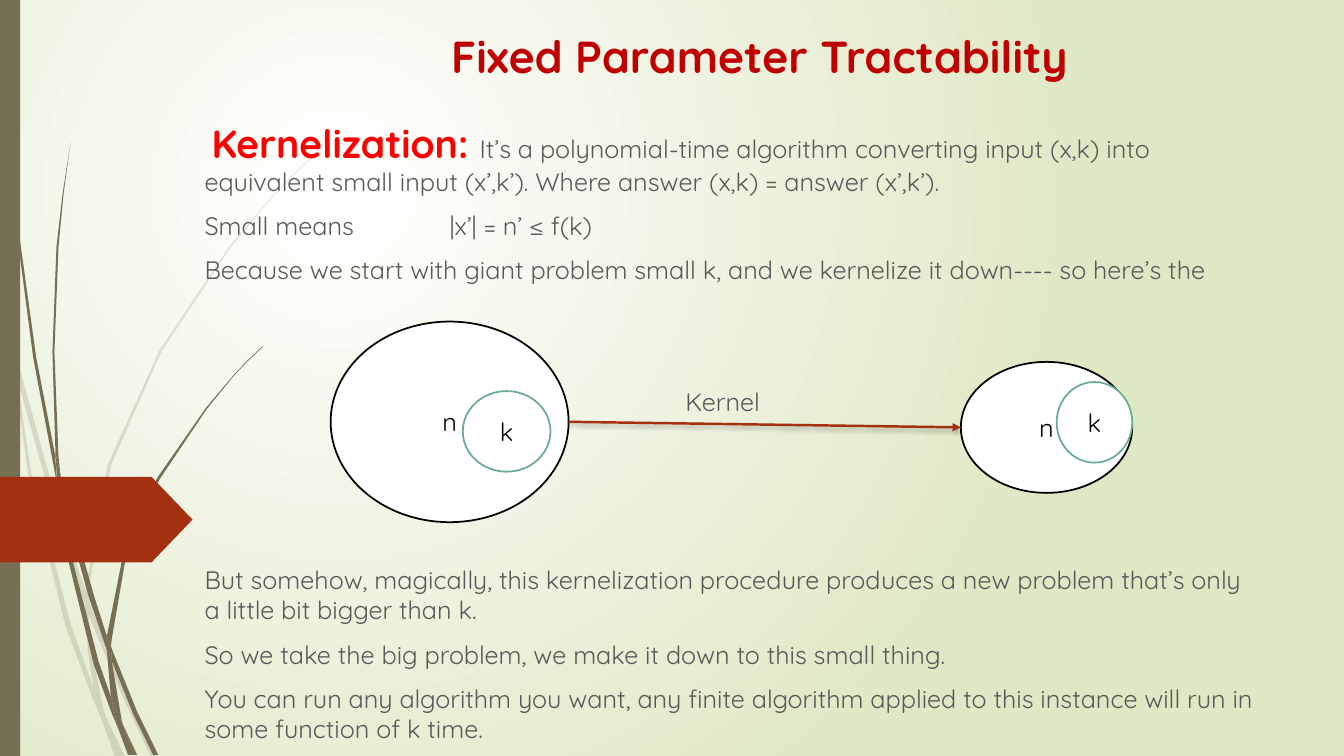
from pptx import Presentation
from pptx.dml.color import RGBColor
from pptx.enum.shapes import MSO_CONNECTOR, MSO_SHAPE
from pptx.enum.text import MSO_ANCHOR, PP_ALIGN
from pptx.oxml import parse_xml
from pptx.oxml.ns import nsdecls, qn
from pptx.util import Inches, Pt

WIDE, HIGH = 13.33, 7.5
FONT = "Quicksand"
GREY, OLIVE, RUST = "595959", "766F54", "A53010"

# Each blade of grass is a closed outline of x,y points in inches.
PALE = [
    ".11,3.5 .09,3.22 0,2.82 0,2.99 .1,3.44",
    ".58,5.22 .84,5.99 .85,5.86 .62,5.2 .14,3.45 .17,3.76",
    ".92,6.07 .88,5.96 .88,6.1 1.23,6.94 1.5,7.51 1.55,7.51 1.27,6.92",
    "1.19,7.51 1.24,7.51 1.05,7.11",
    ".93,6.83 .7,6.19 .31,4.69 .17,3.76 .11,3.5 .28,4.7 .65,6.21 .92,6.93 "
    "1.01,7.14 .99,7.07",
    ".84,5.99 .87,6.46 .93,6.83 .96,6.92 1.05,7.11 1.03,7.06 .91,6.46 .88,6.1 .88,6.08",
    ".88,5.84 1.1,4.62 1.6,3.49 2.29,2.45 2.68,1.98 2.9,1.75 3.12,1.54 3.12,1.53 "
    "2.89,1.75 2.68,1.97 2.28,2.44 1.58,3.48 1.07,4.61 .85,5.84 .85,5.86 .88,5.96",
    "1.01,7.14 1.14,7.51 1.19,7.51",
    ".88,6.08 .88,6.1 .88,5.96 .85,5.86 .84,5.99",
    ".96,6.92 .93,6.83 .99,7.07 1.01,7.14 1.19,7.51 1.05,7.11",
]
DARK = [
    ".07,1.1 .17,2.33 .33,3.55 .56,4.77 .57,4.81 .55,4.57 .55,4.53 .36,3.55 "
    ".19,2.32 .08,1.09 .05,.48 .04,0 .03,0 .04,.48",
    ".88,5.92 1.06,6.45 1.06,6.33 1.06,6.31 .93,5.9 .6,4.72 .64,5.05",
    "1.13,6.49 1.1,6.41 1.11,6.56 1.32,7.08 1.52,7.49 1.57,7.49 1.36,7.06",
    "1.1,6.91 .98,6.57 .72,5.56 .64,5.05 .57,4.77 .68,5.57 .93,6.59 1.11,7.08 "
    "1.17,7.22 1.16,7.17",
    ".6,4.72 .58,4.53 .54,3.49 .58,2.45 .63,1.93 .7,1.41 .62,1.93 .56,2.45 "
    ".52,3.49 .55,4.49",
    "1.33,7.49 1.36,7.49 1.22,7.19",
    ".57,4.77 .64,5.05 .6,4.72 .55,4.49 .55,4.53",
    "1.11,6.33 1.25,5.52 1.58,4.76 2.05,4.06 2.31,3.74 2.45,3.59 2.61,3.44 "
    "2.6,3.44 2.45,3.58 2.31,3.73 2.04,4.05 1.56,4.74 1.22,5.51 1.06,6.31 1.1,6.41",
    "1.17,7.22 1.27,7.49 1.31,7.49",
    "1.06,6.45 1.1,6.91 1.16,7.06 1.22,7.19 1.21,7.16 1.11,6.56 1.09,6.51",
    "1.06,6.45 1.09,6.51 1.11,6.56 1.1,6.41 1.06,6.31 1.06,6.33",
    "1.16,7.06 1.1,6.91 1.16,7.17 1.17,7.22 1.3,7.49 1.33,7.49 1.22,7.19",
]


def color(text):
    return RGBColor.from_string(text)


def paint(shape, fill, line=None):
    shape.shadow.inherit = False
    shape.fill.solid()
    shape.fill.fore_color.rgb = color(fill)
    if line:
        shape.line.color.rgb = color(line)
        shape.line.width = Pt(1.25)
    else:
        shape.line.fill.background()


def style(run, size=18, tint=GREY, bold=False):
    run.font.name = FONT
    run.font.size = Pt(size)
    run.font.bold = bold
    run.font.color.rgb = color(tint)


def blade(slide, outline, alpha=None):
    edge = [tuple(Inches(float(n)) for n in point.split(","))
            for point in outline.split()]
    pen = slide.shapes.build_freeform(*edge[0])
    pen.add_line_segments(edge[1:], close=True)
    shape = pen.convert_to_shape()
    paint(shape, OLIVE)
    if alpha:
        tint = shape.fill._xPr.find(".//" + qn("a:srgbClr"))
        tint.append(parse_xml(f'<a:alpha {nsdecls("a")} val="{alpha * 1000}"/>'))


def scene(slide):
    """Background glow, grass, side bar and page tag."""
    slide._element.cSld.insert(0, parse_xml(
        f'<p:bg {nsdecls("p", "a")}><p:bgPr><a:gradFill rotWithShape="1"><a:gsLst>'
        '<a:gs pos="0"><a:srgbClr val="FFFFFF"/></a:gs>'
        '<a:gs pos="100000"><a:srgbClr val="DFE8C4"/></a:gs></a:gsLst>'
        '<a:path path="circle"><a:fillToRect l="50000" t="50000" r="100000" '
        'b="100000"/></a:path></a:gradFill><a:effectLst/></p:bgPr></p:bg>'))
    for outline in PALE:
        blade(slide, outline, 20)
    for outline in DARK:
        blade(slide, outline)
    bar = slide.shapes.add_shape(MSO_SHAPE.RECTANGLE, 0, 0, Inches(.2), Inches(HIGH))
    paint(bar, OLIVE)
    tag = slide.shapes.add_shape(
        MSO_SHAPE.PENTAGON, 0, Inches(4.73), Inches(1.91), Inches(.85))
    tag.adjustments[0] = .48
    paint(tag, RUST)


def write(slide, box, lines):
    """Text box with one paragraph per line."""
    frame = slide.shapes.add_textbox(*map(Inches, box)).text_frame
    frame.word_wrap = True
    frame.text = "\n".join(lines)
    for i, para in enumerate(frame.paragraphs):
        para.space_before = Pt(10 if i else 0)
        for run in para.runs:
            style(run)
    return frame


def title(slide, box, text):
    frame = write(slide, box, [text])
    frame.vertical_anchor = MSO_ANCHOR.BOTTOM
    para = frame.paragraphs[0]
    para.alignment = PP_ALIGN.CENTER
    style(para.runs[0], 32, "C00000", True)


def intro(slide, box):
    frame = write(slide, box, [
        "Kernelization: ",
        "Small means\t|x’| = n’ ≤ f(k)",
        "Because we start with giant problem small k, and we kernelize it down---- "
        "so here’s the"])
    head, small = frame.paragraphs[:2]
    style(head.runs[0], 28, "FF0000", True)
    rest = head.add_run()
    rest.text = ("It’s a polynomial-time algorithm converting input (x,k) into "
                 "equivalent small input (x’,k’). Where answer (x,k) = answer (x’,k’).")
    style(rest)
    head._p.get_or_add_pPr().set("indent", str(Inches(.07)))
    small._p.get_or_add_pPr().append(parse_xml(
        f'<a:tabLst {nsdecls("a")}><a:tab pos="{Inches(2.43)}" algn="l"/></a:tabLst>'))


def oval(slide, box, text, line):
    shape = slide.shapes.add_shape(MSO_SHAPE.OVAL, *map(Inches, box))
    paint(shape, "FFFFFF", line)
    frame = shape.text_frame
    frame.text = text
    frame.vertical_anchor = MSO_ANCHOR.MIDDLE
    frame.paragraphs[0].alignment = PP_ALIGN.CENTER
    style(frame.paragraphs[0].runs[0], tint="000000")


def problem(slide, box, part):
    """Oval n with oval k inside; part is measured from the box's corner."""
    oval(slide, box, "n", "000000")
    oval(slide, (box[0] + part[0], box[1] + part[1], *part[2:]), "k", "6AAC91")


def arrow(slide, start, end):
    line = slide.shapes.add_connector(
        MSO_CONNECTOR.STRAIGHT, *map(Inches, start + end))
    line.line.color.rgb = color(RUST)
    line.line.width = Pt(1.75)
    line.line._get_or_add_ln().append(
        parse_xml(f'<a:tailEnd {nsdecls("a")} type="triangle"/>'))
    line._element.spPr.append(parse_xml(
        f'<a:effectLst {nsdecls("a")}><a:outerShdw blurRad="{Pt(3)}" '
        f'dist="{Pt(2)}" dir="5400000"><a:srgbClr val="000000">'
        '<a:alpha val="25000"/></a:srgbClr></a:outerShdw></a:effectLst>'))


def kernel(slide, big, small):
    """Both problems, the arrow between them and its label."""
    start = (big[0] + big[2], big[1] + big[3] / 2)
    end = (small[0], small[1] + small[3] / 2)
    write(slide, (start[0] + 1.06, start[1] - .4, 1.2, .4), ["Kernel"])
    problem(slide, big, (1.31, .69, .87, .8))
    problem(slide, small, (.95, .2, .75, .8))
    arrow(slide, start, end)


def main():
    deck = Presentation()
    deck.slide_width, deck.slide_height = Inches(WIDE), Inches(HIGH)
    slide = deck.slides.add_slide(deck.slide_layouts[6])
    scene(slide)
    title(slide, (2.66, .1, 9.75, .77), "Fixed Parameter Tractability")
    intro(slide, (1.93, 1.13, 10.65, 1.8))
    write(slide, (1.93, 5.55, 10.65, 1.85), [
        "But somehow, magically, this kernelization procedure produces a new problem "
        "that’s only a little bit bigger than k.",
        "So we take the big problem, we make it down to this small thing.",
        "You can run any algorithm you want, any finite algorithm applied to this "
        "instance will run in some function of k time."])
    kernel(slide, (3.28, 3.19, 2.36, 1.99), (9.53, 3.59, 1.7, 1.3))
    deck.save("out.pptx")


if __name__ == "__main__":
    main()
